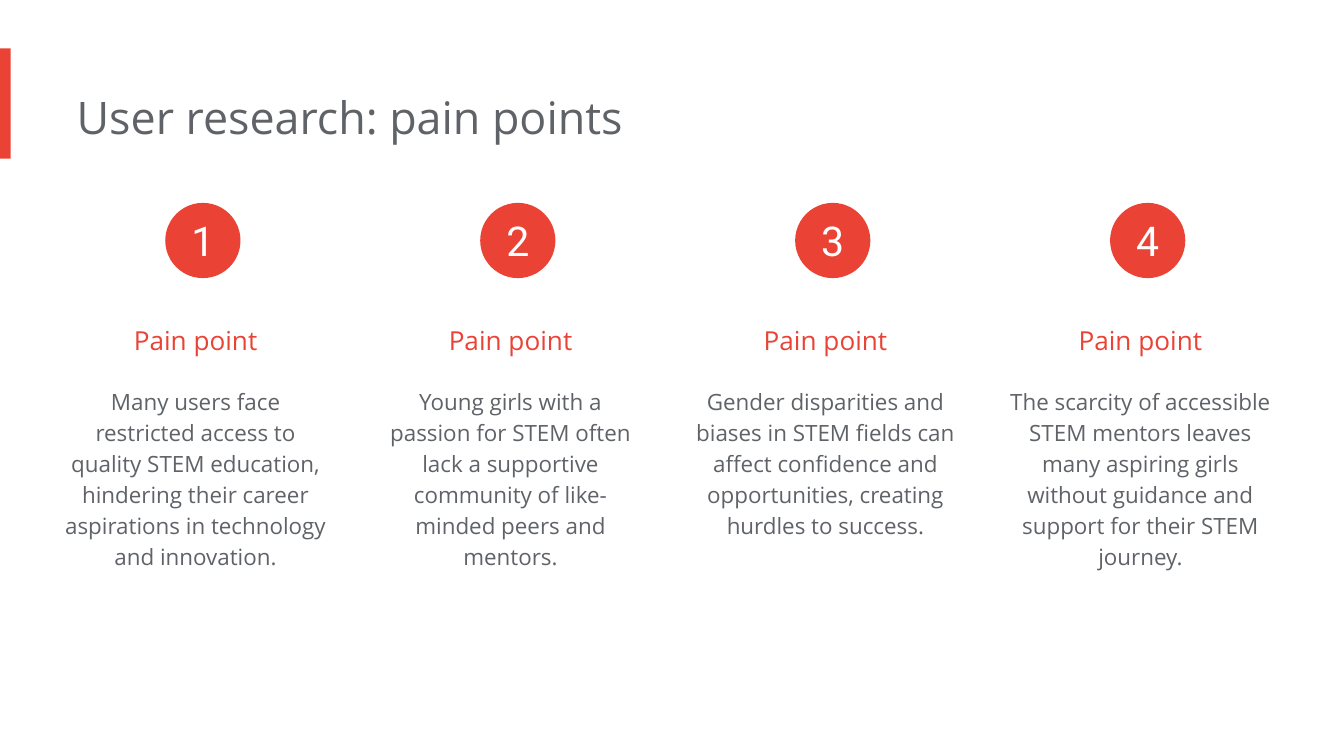
from pptx import Presentation
from pptx import util as u
from pptx.dml import color
from pptx.enum import shapes, text

RED, GREY, WHITE = "EA4335", "5F6368", "FFFFFF"
SANS = "Open Sans"
POINTS = [
    "Many users face restricted access to quality STEM education, hindering their career aspirations in technology and innovation.",
    "Young girls with a passion for STEM often lack a supportive community of like-minded peers and mentors.",
    "Gender disparities and biases in STEM fields can affect confidence and opportunities, creating hurdles to success.",
    "The scarcity of accessible STEM mentors leaves many aspiring girls without guidance and support for their STEM journey.",
]


def rgb(code):
    """Turn a hex string into a colour."""
    return color.RGBColor.from_string(code)


def inch(*box):
    """Turn numbers into lengths in inches."""
    return [u.Inches(n) for n in box]


def write(shape, words, size, hue, font=SANS, align=text.PP_ALIGN.CENTER,
          gap=1.0, pad=0.1, grow=True, anchor=text.MSO_ANCHOR.TOP):
    """Fill a shape with one formatted paragraph."""
    frame = shape.text_frame
    fit = text.MSO_AUTO_SIZE
    look = {
        "word_wrap": True,
        "auto_size": fit.SHAPE_TO_FIT_TEXT if grow else fit.NONE,
        "vertical_anchor": anchor,
        "margin_left": 0,
        "margin_top": u.Inches(pad),
        "margin_right": u.Inches(pad),
        "margin_bottom": u.Inches(pad),
    }
    for key, val in look.items():
        setattr(frame, key, val)
    para = frame.paragraphs[0]
    para.alignment, para.line_spacing = align, gap
    run = para.add_run()
    run.text = words
    for key, val in {"size": u.Pt(size), "name": font, "bold": False}.items():
        setattr(run.font, key, val)
    run.font.color.rgb = rgb(hue)


def solid(slide, kind, box):
    """Add a plain red shape without line or shadow."""
    shape = slide.shapes.add_shape(kind, *inch(*box))
    shape.shadow.inherit = False
    shape.fill.solid()
    shape.fill.fore_color.rgb = rgb(RED)
    shape.line.fill.background()
    return shape


def header(slide, x, y, w, h):
    """Place the edge bar and the title."""
    solid(slide, shapes.MSO_SHAPE.RECTANGLE, (x, y, 0.08, 0.82))
    title = slide.shapes.title
    spots = inch(x + 0.57, y + 0.21, w, h)
    for key, val in zip(("left", "top", "width", "height"), spots):
        setattr(title, key, val)
    write(title, "User research: pain points", 24, GREY,
          align=text.PP_ALIGN.LEFT)


def column(slide, num, words, x, y, w):
    """Place one numbered pain point."""
    head = slide.shapes.add_textbox(*inch(x, y + 0.69, w, 0.44))
    write(head, "Pain point", 14, RED, gap=1.5)
    body = slide.shapes.add_textbox(*inch(x, y + 1.25, w, 1.6))
    write(body, words, 12, GREY, gap=1.15)
    disc = solid(slide, shapes.MSO_SHAPE.OVAL, (x + 0.75, y, 0.56, 0.56))
    write(disc, str(num), 22, WHITE, "Roboto", pad=0, grow=False,
          anchor=text.MSO_ANCHOR.MIDDLE)


def main():
    """Build and save the slide."""
    deck = Presentation()
    deck.slide_width = u.Inches(10)
    deck.slide_height = u.Inches(10 * 9 / 16)
    slide = deck.slides.add_slide(deck.slide_layouts[5])
    header(slide, 0, 0.36, 6.73, 0.61)
    step = (7.51 - 0.48) / 3
    for i, words in enumerate(POINTS):
        column(slide, i + 1, words, 0.48 + step * i, 1.51, 2.05)
    deck.save("out.pptx")


if __name__ == "__main__":
    main()
